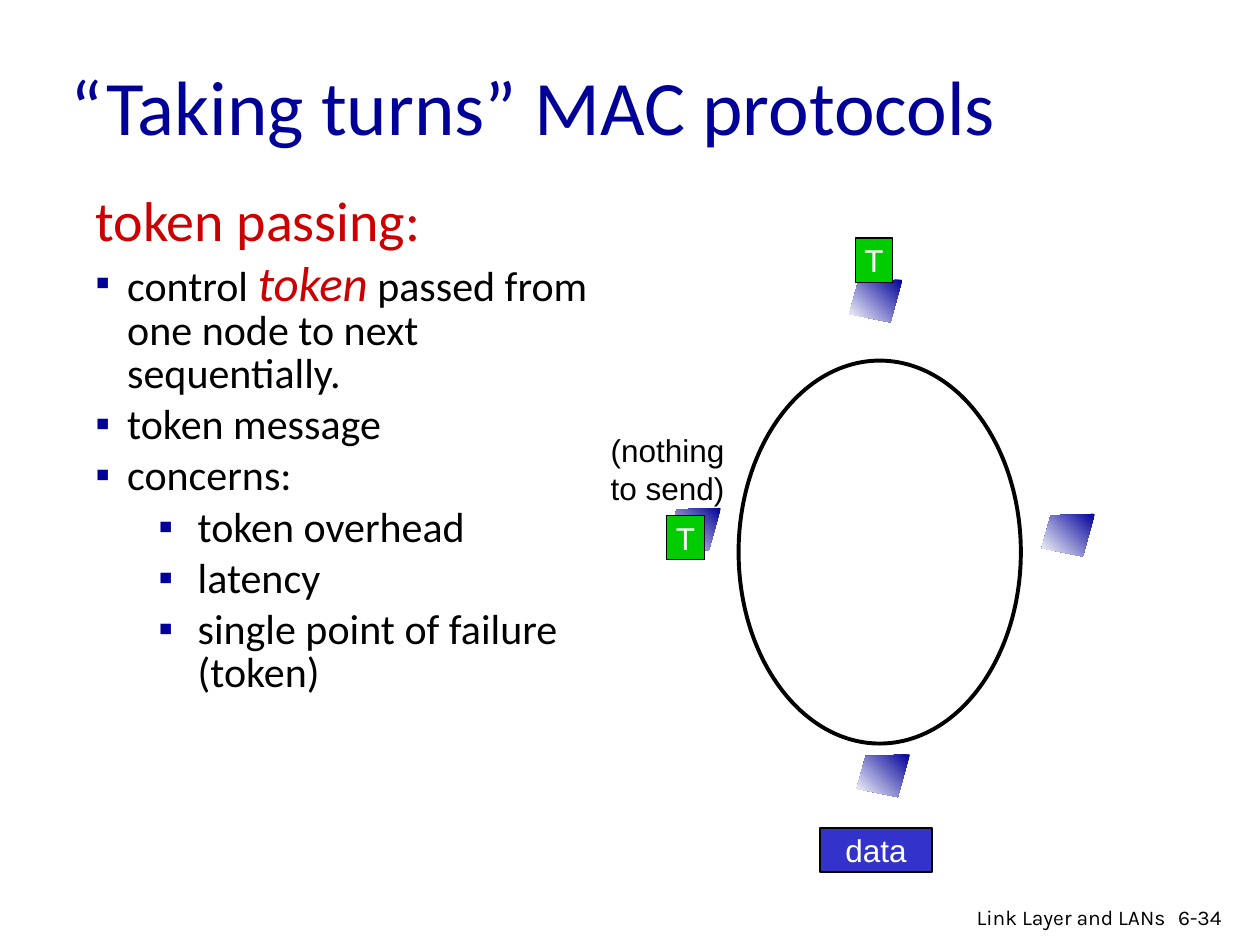
from lxml.etree import SubElement
from pptx import Presentation
from pptx.dml.color import RGBColor
from pptx.enum.shapes import MSO_SHAPE
from pptx.enum.text import MSO_ANCHOR, MSO_AUTO_SIZE, PP_ALIGN
from pptx.oxml.ns import qn
from pptx.util import Cm, Pt

COLORS = {
    "navy": "000099", "red": "CC0000", "black": "000000",
    "white": "FFFFFF", "green": "00CC00", "blue": "3333CC",
}


def rgb(name):
    return RGBColor.from_string(COLORS[name])


class Deck:
    """Holds the presentation style and the current slide."""

    def __init__(self):
        self.prs = Presentation()
        self.prs.slide_width, self.prs.slide_height = Cm(25.4), Cm(19.05)
        self.slide = self.prs.slides.add_slide(self.prs.slide_layouts[1])
        self.shapes = self.slide.shapes

    def place(self, sp, x, y, w, h):
        sp.left, sp.top, sp.width, sp.height = Cm(x), Cm(y), Cm(w), Cm(h)

    def run(self, p, text, size, color="black", font="Calibri", italic=False):
        r = p.add_run()
        r.text = text
        r.font.size, r.font.name, r.font.italic = Pt(size), font, italic
        r.font.color.rgb = rgb(color)

    def title(self, text, box):
        sp = self.shapes.title
        self.place(sp, *box)
        tf = sp.text_frame
        tf.auto_size, tf.vertical_anchor = MSO_AUTO_SIZE.NONE, MSO_ANCHOR.MIDDLE
        p = tf.paragraphs[0]
        p.alignment = PP_ALIGN.LEFT
        self.run(p, text, 44, "navy")

    def bullet(self, p, char, margin, hanging):
        pPr = p._p.get_or_add_pPr()
        pPr.set("marL", str(Cm(margin)))
        pPr.set("indent", str(-Cm(hanging)))
        if not char:
            SubElement(pPr, qn("a:buNone"))
            return
        clr = SubElement(pPr, qn("a:buClr"))
        SubElement(clr, qn("a:srgbClr")).set("val", COLORS["navy"])
        SubElement(pPr, qn("a:buFont")).set("typeface", "Arial")
        SubElement(pPr, qn("a:buChar")).set("char", char)

    def body(self, heading, items, box):
        sp = self.slide.placeholders[1]
        self.place(sp, *box)
        tf = sp.text_frame
        tf.auto_size = MSO_AUTO_SIZE.NONE
        p = tf.paragraphs[0]
        p.line_spacing, p.space_before = 0.85, Pt(0)
        self.bullet(p, None, 0.95, 0.95)
        self.run(p, heading, 32, "red")
        for level, runs in items:
            p = tf.add_paragraph()
            p.level, p.line_spacing, p.space_before = level, 0.85, Pt(4.8)
            self.bullet(p, "▪", *((0.64, 0.64), (2.06, 0.79))[level])
            for text, *style in runs:
                self.run(p, text, *(style or [24]))

    def node(self, x, y):
        corners = [(1.07, 0), (0.18, 0.03), (0, 0.69), (0.83, 0.86)]
        pts = [(Cm(x + dx), Cm(y + dy)) for dx, dy in corners]
        fb = self.shapes.build_freeform(*pts[0])
        fb.add_line_segments(pts[1:], close=True)
        sp = fb.convert_to_shape()
        sp.shadow.inherit = False
        sp.line.fill.background()
        sp.fill.gradient()
        sp.fill.gradient_angle = 225
        for stop, color, pos in zip(sp.fill.gradient_stops, ("navy", "white"), (0, 1)):
            stop.color.rgb, stop.position = rgb(color), pos

    def ring(self, box):
        sp = self.shapes.add_shape(MSO_SHAPE.OVAL, *map(Cm, box))
        sp.shadow.inherit = False
        sp.fill.background()
        sp.line.color.rgb, sp.line.width = rgb("black"), Pt(2.25)

    def frame(self, text, color, box):
        sp = self.shapes.add_shape(MSO_SHAPE.RECTANGLE, *map(Cm, box))
        sp.shadow.inherit = False
        sp.fill.solid()
        sp.fill.fore_color.rgb = rgb(color)
        sp.line.color.rgb, sp.line.width = rgb("black"), Pt(0.75)
        tf = sp.text_frame
        tf.word_wrap, tf.vertical_anchor = False, MSO_ANCHOR.MIDDLE
        p = tf.paragraphs[0]
        p.alignment = PP_ALIGN.CENTER
        self.run(p, text, 18, "white", "Arial")

    def label(self, lines, size, font, box, align=PP_ALIGN.LEFT):
        tf = self.shapes.add_textbox(*map(Cm, box)).text_frame
        tf.word_wrap = True
        for i, line in enumerate(lines):
            p = tf.add_paragraph() if i else tf.paragraphs[0]
            p.alignment = align
            self.run(p, line, size, font=font)


def main():
    deck = Deck()
    deck.title("“Taking turns” MAC protocols", (1.17, 0.53, 21.59, 3.18))
    deck.body("token passing:", [
        (0, [("control ",), ("token", 28, "red", "Calibri", True),
             (" passed from one node to next sequentially.",)]),
        (0, [("token message",)]),
        (0, [("concerns:",)]),
        (1, [("token overhead",)]),
        (1, [("latency",)]),
        (1, [("single point of failure (token)",)]),
    ], (1.67, 3.82, 10.44, 12.9))
    for x, y in [(21, 10.36), (13.46, 10.24), (17.12, 5.64), (17.27, 15.21)]:
        deck.node(x, y)
    deck.ring((14.89, 7.27, 5.69, 7.72))
    for x, y in [(17.24, 4.8), (13.44, 10.39)]:
        deck.frame("T", "green", (x, y, 0.76, 0.89))
    deck.frame("data", "blue", (16.53, 16.69, 2.26, 0.89))
    deck.label(["(nothing", "to send)"], 18, "Arial", (12.06, 8.56, 3.2, 1.78))
    deck.label(["6-34"], 12, "Karla", (23.5, 18.11, 1.52, 0.76))
    deck.label(["Link Layer and LANs"], 12, "Karla", (17.7, 18.11, 6.05, 0.66), PP_ALIGN.RIGHT)
    deck.prs.save("out.pptx")


if __name__ == "__main__":
    main()
